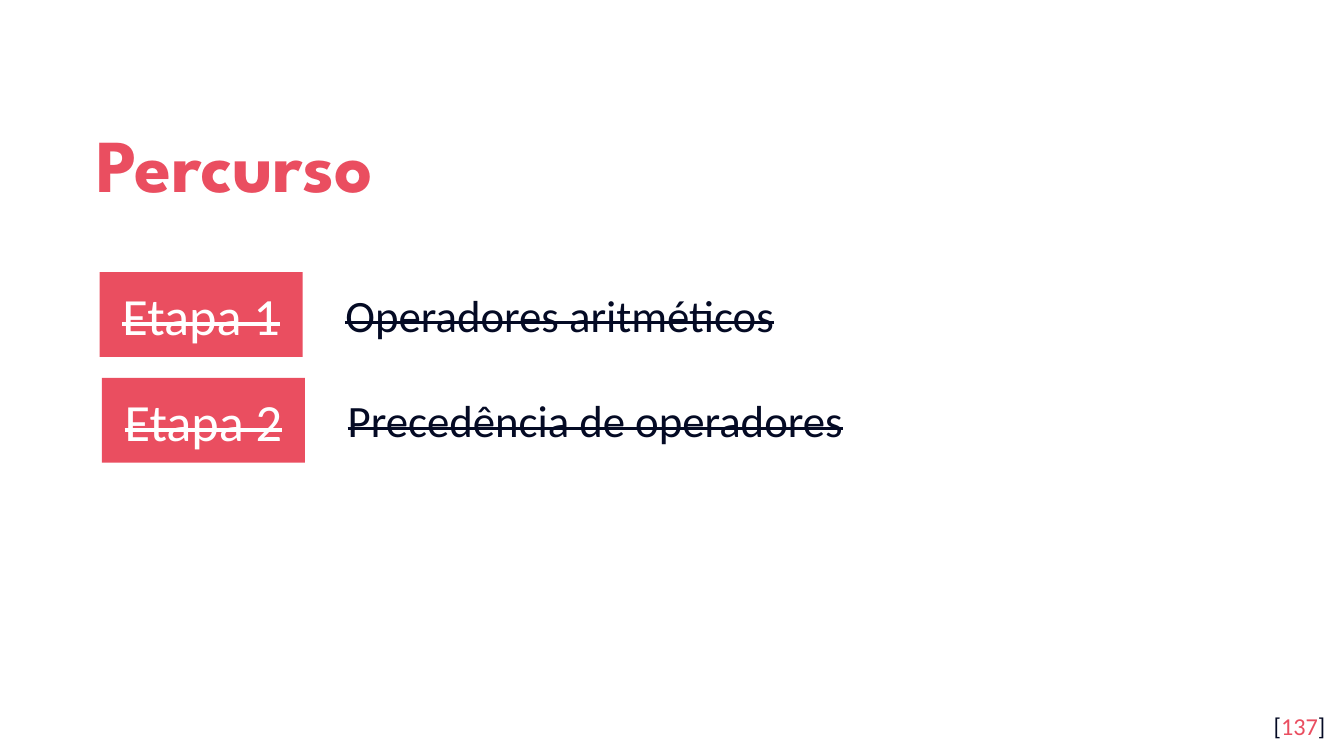
from pptx import Presentation
from pptx.dml.color import RGBColor
from pptx.enum.shapes import MSO_SHAPE
from pptx.enum.text import MSO_ANCHOR, MSO_AUTO_SIZE, PP_ALIGN
from pptx.util import Pt

CORAL, NAVY, WHITE = "EA4E60", "040A24", "FFFFFF"


def color(value):
    return RGBColor.from_string(value)


class SlideBuilder:
    body_font = "Calibri"
    title_font = "League Spartan"
    inset = 7.2

    def __init__(self, slide):
        self.slide = slide
        slide.background.fill.solid()
        slide.background.fill.fore_color.rgb = color(WHITE)

    def fill_text(self, shape, runs, size, alignment=PP_ALIGN.LEFT, anchor=MSO_ANCHOR.TOP,
                  vertical_inset=7.2, font_name=body_font, bold=False, strike=False):
        frame = shape.text_frame
        frame_format = {
            "word_wrap": True,
            "auto_size": MSO_AUTO_SIZE.NONE,
            "vertical_anchor": anchor,
            "margin_left": Pt(self.inset),
            "margin_right": Pt(self.inset),
            "margin_top": Pt(vertical_inset),
            "margin_bottom": Pt(vertical_inset),
        }
        for name, value in frame_format.items():
            setattr(frame, name, value)
        paragraph = frame.paragraphs[0]
        paragraph.alignment = alignment
        for text, text_color in runs:
            run = paragraph.add_run()
            run.text = text
            font_format = {"name": font_name, "size": Pt(size), "bold": bold}
            for name, value in font_format.items():
                setattr(run.font, name, value)
            run.font.color.rgb = color(text_color)
            if strike:
                run._r.get_or_add_rPr().set("strike", "sngStrike")
        return paragraph

    def title(self, text, left, top, width, height):
        shape = self.slide.shapes.title
        position = {"left": left, "top": top, "width": width, "height": height}
        for name, value in position.items():
            setattr(shape, name, Pt(value))
        paragraph = self.fill_text(shape, [(text, CORAL)], 40, anchor=MSO_ANCHOR.MIDDLE,
                                   font_name=self.title_font, bold=True)
        paragraph.line_spacing = 1.15

    def text(self, runs, left, top, width, height, size, **text_format):
        shape = self.slide.shapes.add_textbox(Pt(left), Pt(top), Pt(width), Pt(height))
        self.fill_text(shape, runs, size, **text_format)

    def label(self, text, left, top, width, height):
        shape = self.slide.shapes.add_shape(
            MSO_SHAPE.RECTANGLE, Pt(left), Pt(top), Pt(width), Pt(height))
        shape.shadow.inherit = False
        shape.fill.solid()
        shape.fill.fore_color.rgb = color(CORAL)
        shape.line.fill.background()
        self.fill_text(shape, [(text, WHITE)], 28, alignment=PP_ALIGN.CENTER,
                       anchor=MSO_ANCHOR.MIDDLE, strike=True)

    def stage(self, name, topic, left, top):
        self.label(name, left, top, 108.8, 45.4)
        self.text([(topic, NAVY)], left + 124.6, top + 4.6, 486, 36, 24,
                  vertical_inset=3.6, strike=True)


def main():
    presentation = Presentation()
    presentation.slide_width = Pt(720)
    presentation.slide_height = Pt(405)
    slide = presentation.slides.add_slide(presentation.slide_layouts[5])
    builder = SlideBuilder(slide)

    builder.title("Percurso", 44.6, 50.4, 583.2, 66.2)
    builder.text([("[", NAVY), ("137", CORAL), ("]", NAVY)],
                 673.9, 373.7, 43.2, 31, 13, alignment=PP_ALIGN.RIGHT)
    topics = ["Operadores aritméticos", "Precedência de operadores"]
    for index, topic in enumerate(topics):
        builder.stage(f"Etapa {index + 1}", topic, 53.4 + 1.2 * index, 145.8 + 56.7 * index)

    presentation.save("out.pptx")


if __name__ == "__main__":
    main()
